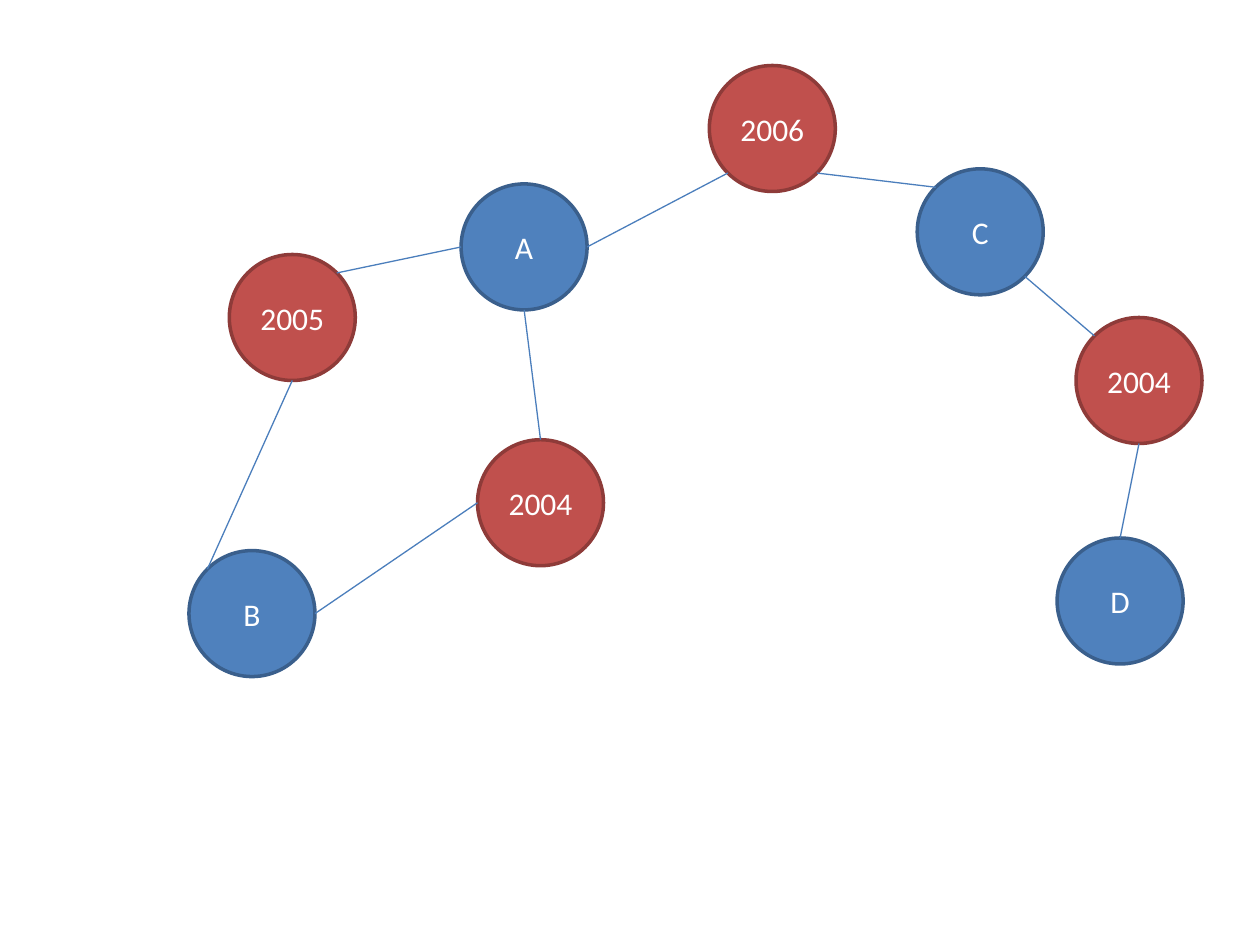
import math
from dataclasses import dataclass
from enum import IntEnum

from lxml import etree
from pptx import Presentation
from pptx.dml.color import RGBColor
from pptx.enum import shapes, text
from pptx.oxml.ns import qn
from pptx.util import Inches, Pt

COLORS = {
    "person": "4F81BD",
    "person_line": "3A5F8C",
    "year": "C0504D",
    "year_line": "8E3B39",
    "edge": "4B7EBC",
    "text": "FFFFFF",
}
DIAMETER = 1.0


class Site(IntEnum):
    """Connection sites of an ellipse, counterclockwise from the top."""
    TOP = 0
    TOP_LEFT = 1
    LEFT = 2
    BOTTOM_LEFT = 3
    BOTTOM = 4
    BOTTOM_RIGHT = 5
    RIGHT = 6
    TOP_RIGHT = 7


@dataclass(frozen=True)
class Node:
    label: str
    kind: str
    left: float
    top: float

    def point(self, site: Site) -> tuple:
        """Return the position of a connection site."""
        angle = site * math.pi / 4
        radius = DIAMETER / 2
        return (Inches(self.left + radius - radius * math.sin(angle)),
                Inches(self.top + radius - radius * math.cos(angle)))


@dataclass(frozen=True)
class Edge:
    start: Node
    start_site: Site
    end: Node
    end_site: Site


A = Node("A", "person", 3.66, 1.46)
B = Node("B", "person", 1.5, 4.37)
C = Node("C", "person", 7.28, 1.34)
D = Node("D", "person", 8.39, 4.27)
AB_2005 = Node("2005", "year", 1.82, 2.02)
AB_2004 = Node("2004", "year", 3.79, 3.49)
AC_2006 = Node("2006", "year", 5.63, 0.52)
CD_2004 = Node("2004", "year", 8.54, 2.52)
NODES = [A, B, C, AB_2005, AB_2004, AC_2006, D, CD_2004]

EDGES = [
    Edge(AB_2004, Site.TOP, A, Site.BOTTOM),
    Edge(AB_2004, Site.LEFT, B, Site.RIGHT),
    Edge(AB_2005, Site.BOTTOM, B, Site.TOP_LEFT),
    Edge(AB_2005, Site.TOP_RIGHT, A, Site.LEFT),
    Edge(C, Site.TOP_LEFT, AC_2006, Site.BOTTOM_RIGHT),
    Edge(A, Site.RIGHT, AC_2006, Site.BOTTOM_LEFT),
    Edge(D, Site.TOP, CD_2004, Site.BOTTOM),
    Edge(C, Site.BOTTOM_RIGHT, CD_2004, Site.TOP_LEFT),
]


def rgb(name: str) -> RGBColor:
    return RGBColor.from_string(COLORS[name])


def add_node(slide, node: Node):
    sp = slide.shapes.add_shape(
        shapes.MSO_SHAPE.OVAL, Inches(node.left), Inches(node.top),
        Inches(DIAMETER), Inches(DIAMETER))
    sp.shadow.inherit = False
    sp.fill.solid()
    sp.fill.fore_color.rgb = rgb(node.kind)
    sp.line.color.rgb = rgb(f"{node.kind}_line")
    sp.line.width = Pt(2)
    tf = sp.text_frame
    tf.vertical_anchor = text.MSO_ANCHOR.MIDDLE
    p = tf.paragraphs[0]
    p.alignment = text.PP_ALIGN.CENTER
    r = p.add_run()
    r.text = node.label
    for name, value in {"name": "Calibri", "size": Pt(18)}.items():
        setattr(r.font, name, value)
    r.font.color.rgb = rgb("text")
    return sp


def add_edge(slide, edge: Edge, ovals: dict) -> None:
    """Draw a line glued to two ovals, which have eight sites each."""
    line = slide.shapes.add_connector(
        shapes.MSO_CONNECTOR.STRAIGHT,
        *edge.start.point(edge.start_site), *edge.end.point(edge.end_site))
    line.line.color.rgb = rgb("edge")
    line.line.width = Pt(0.75)
    etree.SubElement(line.element.spPr, qn("a:effectLst"))
    glue = line.element.find(f".//{qn('p:cNvCxnSpPr')}")
    for tag, node, site in (("a:stCxn", edge.start, edge.start_site),
                            ("a:endCxn", edge.end, edge.end_site)):
        etree.SubElement(glue, qn(tag), id=str(ovals[node].shape_id),
                         idx=str(int(site)))


def main() -> None:
    prs = Presentation()
    prs.slide_width, prs.slide_height = Inches(10), Inches(7.5)
    s = prs.slides.add_slide(prs.slide_layouts[6])
    ovals = {node: add_node(s, node) for node in NODES}
    for edge in EDGES:
        add_edge(s, edge, ovals)
    prs.save("out.pptx")


if __name__ == "__main__":
    main()
